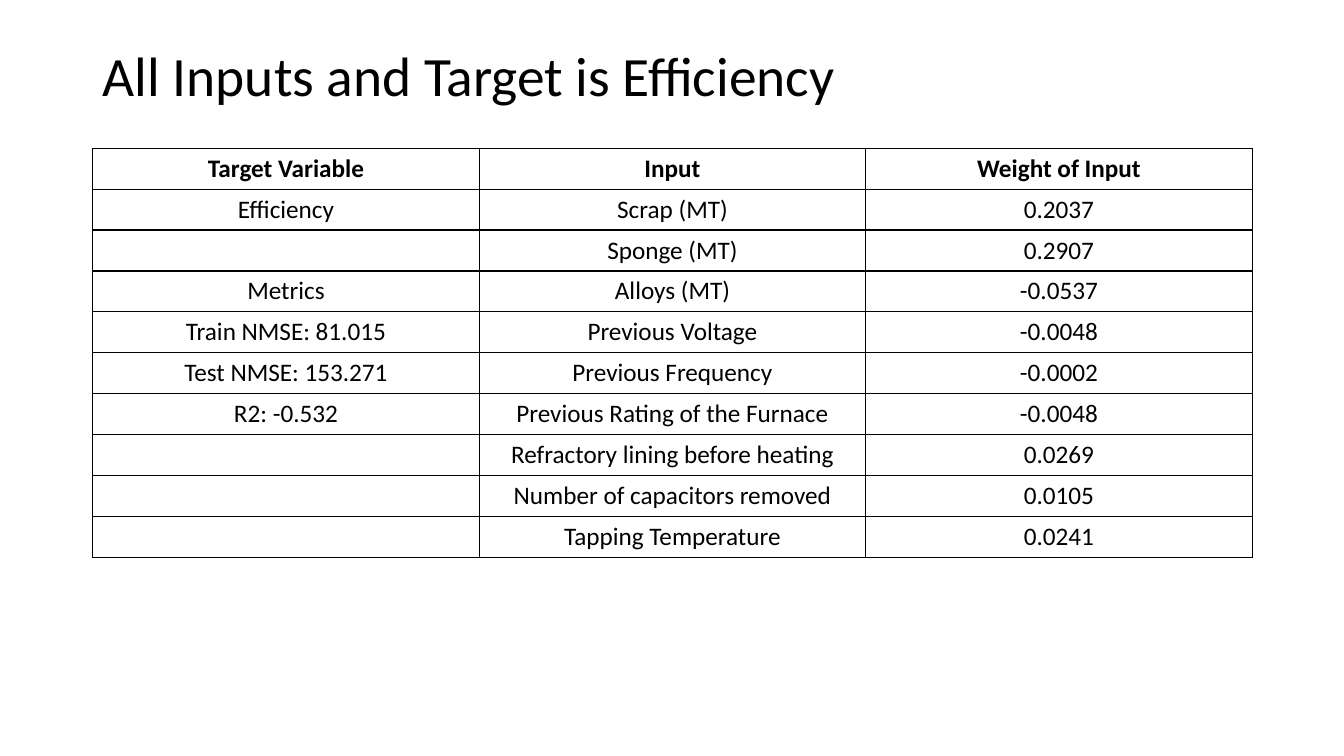
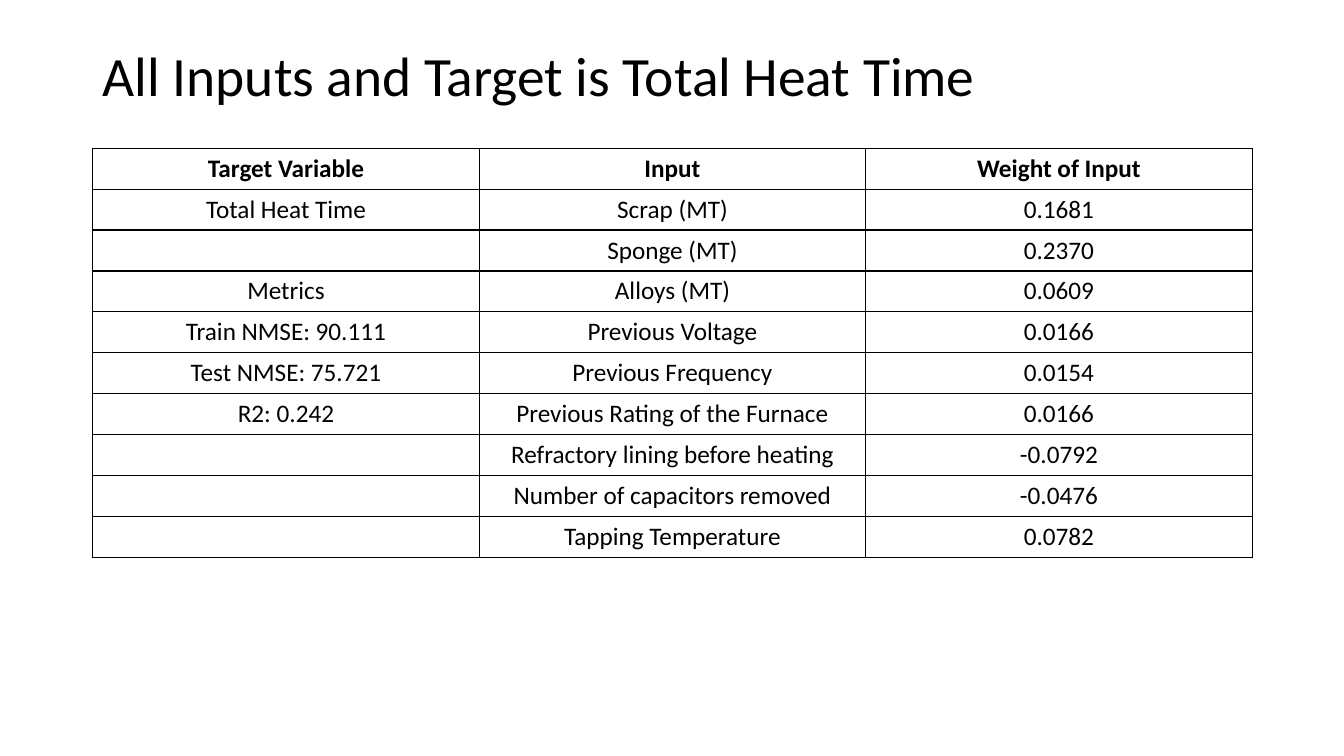
from lxml.etree import SubElement
from pptx import Presentation
from pptx.dml.color import RGBColor
from pptx.enum.text import MSO_ANCHOR, MSO_AUTO_SIZE, PP_ALIGN
from pptx.oxml.ns import qn
from pptx.util import Inches, Pt

COLORS = {"text": "000000", "border": "000000"}
FONT = "Calibri"
HEADERS = ["Target Variable", "Input", "Weight of Input"]
INPUTS = [
    "Scrap (MT)", "Sponge (MT)", "Alloys (MT)", "Previous Voltage",
    "Previous Frequency", "Previous Rating of the Furnace",
    "Refractory lining before heating", "Number of capacitors removed",
    "Tapping Temperature",
]
RESULTS = [
    {
        "target": "Efficiency",
        "metrics": ["Train NMSE: 81.015", "Test NMSE: 153.271", "R2: -0.532"],
        "weights": ["0.2037", "0.2907", "-0.0537", "-0.0048", "-0.0002",
                    "-0.0048", "0.0269", "0.0105", "0.0241"],
    },
    {
        "target": "Total Heat Time",
        "metrics": ["Train NMSE: 90.111", "Test NMSE: 75.721", "R2: 0.242"],
        "weights": ["0.1681", "0.2370", "0.0609", "0.0166", "0.0154",
                    "0.0166", "-0.0792", "-0.0476", "0.0782"],
    },
]


def write(tf, text, size=18, bold=False, align=PP_ALIGN.CENTER, spacing=None):
    p = tf.paragraphs[0]
    p.alignment = align
    p.line_spacing = spacing
    p.font.size = Pt(size)
    if text:
        r = p.add_run()
        r.text = text
        r.font.name = FONT
        r.font.size = Pt(size)
        r.font.bold = bold
        r.font.color.rgb = RGBColor.from_string(COLORS["text"])


def add_borders(cell, color, width=1):
    tc_pr = cell._tc.get_or_add_tcPr()
    for i, side in enumerate(["lnL", "lnR", "lnT", "lnB"]):
        ln = SubElement(tc_pr, qn(f"a:{side}"), w=str(Pt(width)))
        SubElement(SubElement(ln, qn("a:solidFill")), qn("a:srgbClr"), val=color)
        tc_pr.insert(i, ln)


prs = Presentation()
prs.slide_width, prs.slide_height = Inches(13.33), Inches(7.5)
left, width = Inches(0.92), Inches(11.5)
row_height = Inches(4.06) // (len(INPUTS) + 1)

for result in RESULTS:
    s = prs.slides.add_slide(prs.slide_layouts[5])
    title = s.shapes.title
    title.left, title.top = left, Inches(0.4)
    title.width, title.height = width, Inches(0.75)
    tf = title.text_frame
    tf.auto_size = MSO_AUTO_SIZE.NONE
    tf.vertical_anchor = MSO_ANCHOR.MIDDLE
    write(tf, f"All Inputs and Target is {result['target']}",
          size=39.6, align=PP_ALIGN.LEFT, spacing=0.9)

    first_column = [result["target"], "", "Metrics", *result["metrics"], "", "", ""]
    rows = [HEADERS, *zip(first_column, INPUTS, result["weights"])]
    table = s.shapes.add_table(len(rows), len(HEADERS), left, Inches(1.47),
                               width, row_height * len(rows)).table
    table.first_row = table.horz_banding = False
    for i, row in enumerate(rows):
        for j, text in enumerate(row):
            cell = table.cell(i, j)
            cell.fill.background()
            add_borders(cell, COLORS["border"])
            write(cell.text_frame, text, bold=i == 0)

prs.save("out.pptx")
